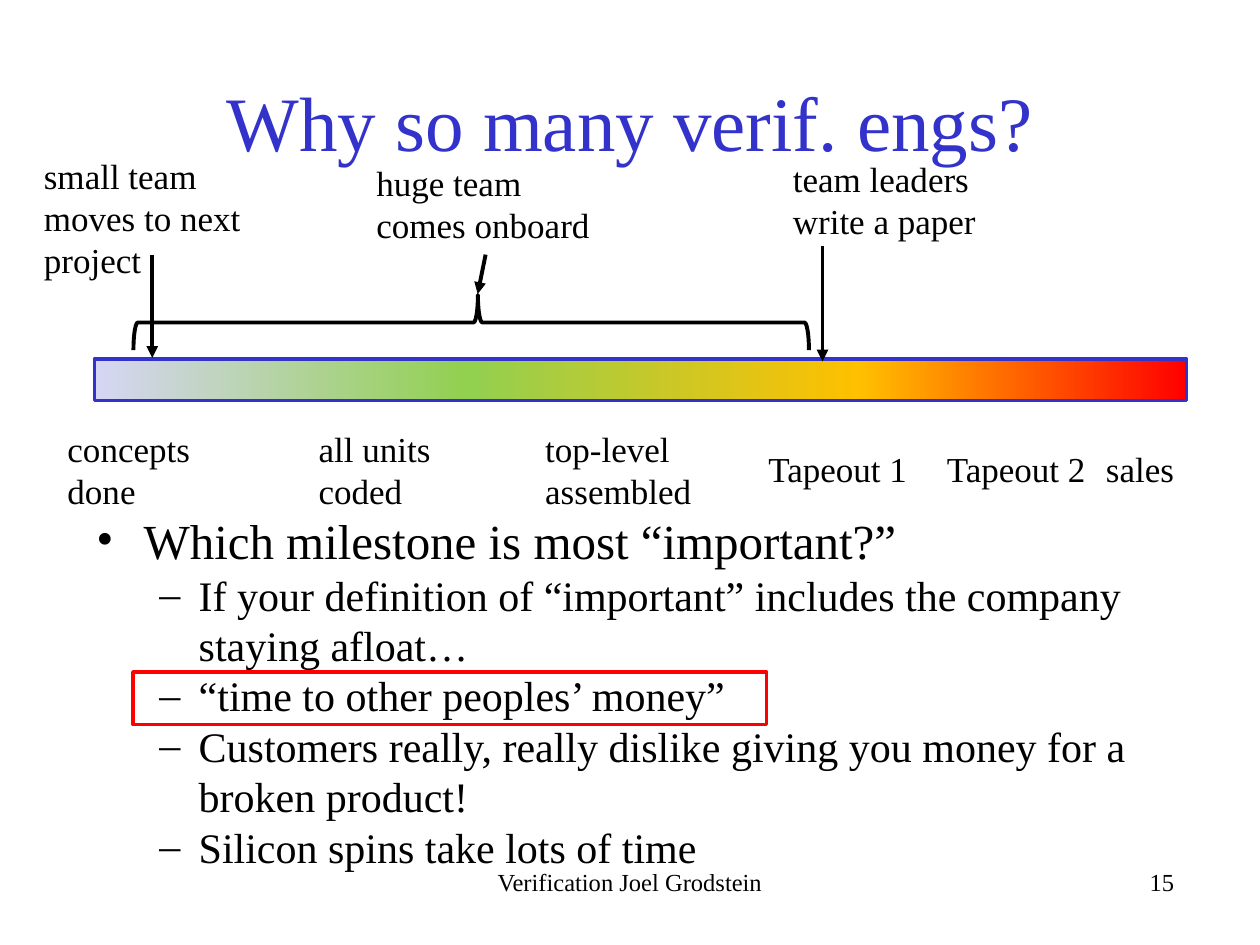
from dataclasses import dataclass

from lxml import etree
from pptx import Presentation
from pptx.dml.color import RGBColor
from pptx.enum import shapes, text
from pptx.oxml import ns
from pptx.util import Pt


@dataclass(frozen=True)
class Theme:
    font: str = "Times New Roman"
    ink: str = "000000"
    accent: str = "3333CC"
    highlight: str = "FF0000"
    timeline: tuple = ((0, "D6D6F5"), (34, "92D050"), (70, "FFC000"), (100, "FF0000"))
    title_size: float = 44
    bullet_size: float = 28
    sub_bullet_size: float = 24
    label_size: float = 20
    footer_size: float = 14
    line_width: float = 2.25
    border_width: float = 2


THEME = Theme()
ALIGN = text.PP_ALIGN

LABELS = (
    ("small team moves to next project", 18, 85, 138, 80),
    ("huge team comes onboard", 208, 89, 138, 55.5),
    ("team leaders write a paper", 446, 86.5, 138, 55.5),
    ("concepts done", 31.5, 240.5, 88.5, 55.5),
    ("all units coded", 175, 240.5, 88.5, 55.5),
    ("top-level assembled", 304.5, 240.5, 103, 55.5),
    ("Tapeout 1", 432, 252, 96.5, 31.5),
    ("Tapeout 2", 534, 252, 96.5, 31.5),
)

ARROWS = (
    (87, 145.5, 87, 204.5),
    (277.5, 145.5, 273, 168),
    (470, 140.5, 470, 206.5),
)

BULLETS = (
    (0, "Which milestone is most “important?”"),
    (1, "If your definition of “important” includes the company staying afloat…"),
    (1, "“time to other peoples’ money”"),
    (1, "Customers really, really dislike giving you money for a broken product!"),
    (1, "Silicon spins take lots of time"),
)


def add_child(parent, tag, **attributes):
    return etree.SubElement(parent, ns.qn(tag), attributes)


def style_paragraph(paragraph, size, color=THEME.ink, align=ALIGN.LEFT):
    paragraph.alignment = align
    for run in paragraph.runs:
        run.font.name = THEME.font
        run.font.size = Pt(size)
        run.font.color.rgb = RGBColor.from_string(color)


def add_text(slide, words, left, top, width, height, size, color=THEME.ink, align=ALIGN.LEFT):
    shape = slide.shapes.add_textbox(Pt(left), Pt(top), Pt(width), Pt(height))
    frame = shape.text_frame
    frame.word_wrap = True
    frame.text = words
    style_paragraph(frame.paragraphs[0], size, color, align)
    return frame


def add_label(slide, words, left, top, width, height):
    frame = add_text(slide, words, left, top, width, height, THEME.label_size)
    frame.auto_size = text.MSO_AUTO_SIZE.SHAPE_TO_FIT_TEXT
    return frame


def add_bullets(slide, items, left, top, width, height):
    shape = slide.shapes.add_textbox(Pt(left), Pt(top), Pt(width), Pt(height))
    frame = shape.text_frame
    frame.word_wrap = True
    frame.text = "\n".join(words for _, words in items)
    levels = (
        (THEME.bullet_size, "•", 27, 27),
        (THEME.sub_bullet_size, "–", 58.5, 22.5),
    )
    for paragraph, (level, _) in zip(frame.paragraphs, items):
        size, mark, margin, hanging = levels[level]
        paragraph.level = level
        style_paragraph(paragraph, size)
        properties = paragraph._p.get_or_add_pPr()
        properties.set("marL", str(Pt(margin)))
        properties.set("indent", str(-Pt(hanging)))
        add_child(properties, "a:buFont", typeface=THEME.font)
        add_child(properties, "a:buChar", char=mark)


def add_outline(slide, kind, left, top, width, height, color, line_width):
    shape = slide.shapes.add_shape(kind, Pt(left), Pt(top), Pt(width), Pt(height))
    shape.shadow.inherit = False
    shape.fill.background()
    shape.line.color.rgb = RGBColor.from_string(color)
    shape.line.width = Pt(line_width)
    return shape


def fill_gradient(shape, stops):
    shape.fill.gradient()
    shape.fill.gradient_angle = 0
    stop_list = shape._element.spPr.find(ns.qn("a:gradFill")).find(ns.qn("a:gsLst"))
    for stop in list(stop_list):
        stop_list.remove(stop)
    for percent, color in stops:
        stop = add_child(stop_list, "a:gs", pos=str(percent * 1000))
        add_child(stop, "a:srgbClr", val=color)


def add_arrow(slide, start_x, start_y, end_x, end_y):
    arrow = slide.shapes.add_connector(
        shapes.MSO_CONNECTOR.STRAIGHT, Pt(start_x), Pt(start_y), Pt(end_x), Pt(end_y)
    )
    arrow.line.color.rgb = RGBColor.from_string(THEME.ink)
    arrow.line.width = Pt(THEME.line_width)
    add_child(arrow.line._get_or_add_ln(), "a:tailEnd", type="triangle")
    add_child(arrow._element.spPr, "a:effectLst")


def main():
    presentation = Presentation()
    presentation.slide_width, presentation.slide_height = Pt(720), Pt(540)
    slide = presentation.slides.add_slide(presentation.slide_layouts[6])
    rectangle = shapes.MSO_SHAPE.RECTANGLE

    title = add_text(slide, "Why so many verif. engs?", 54, 24, 612, 90,
                     THEME.title_size, THEME.accent, ALIGN.CENTER)
    title.vertical_anchor = text.MSO_ANCHOR.MIDDLE
    add_bullets(slide, BULLETS, 48, 288, 612, 141)
    add_text(slide, "Verification Joel Grodstein", 246, 492, 228, 36,
             THEME.footer_size, align=ALIGN.CENTER)
    add_text(slide, "15", 450, 492, 228, 36, THEME.footer_size, align=ALIGN.RIGHT)

    timeline = add_outline(slide, rectangle, 54, 205, 624, 24,
                           THEME.accent, THEME.border_width)
    fill_gradient(timeline, THEME.timeline)
    brace = add_outline(slide, shapes.MSO_SHAPE.RIGHT_BRACE, 253.5, -8.75, 31.5, 386,
                        THEME.ink, THEME.line_width)
    brace.rotation = 270
    brace.adjustments[0], brace.adjustments[1] = 0.08, 0.51

    for label in LABELS:
        add_label(slide, *label)
    sales = add_label(slide, "sales", 632, 252, 39, 31.5)
    sales.word_wrap = False
    sales.margin_left = sales.margin_right = 0

    for arrow in ARROWS:
        add_arrow(slide, *arrow)
    add_outline(slide, rectangle, 76, 384, 362, 30, THEME.highlight, THEME.border_width)

    presentation.save("out.pptx")


if __name__ == "__main__":
    main()
